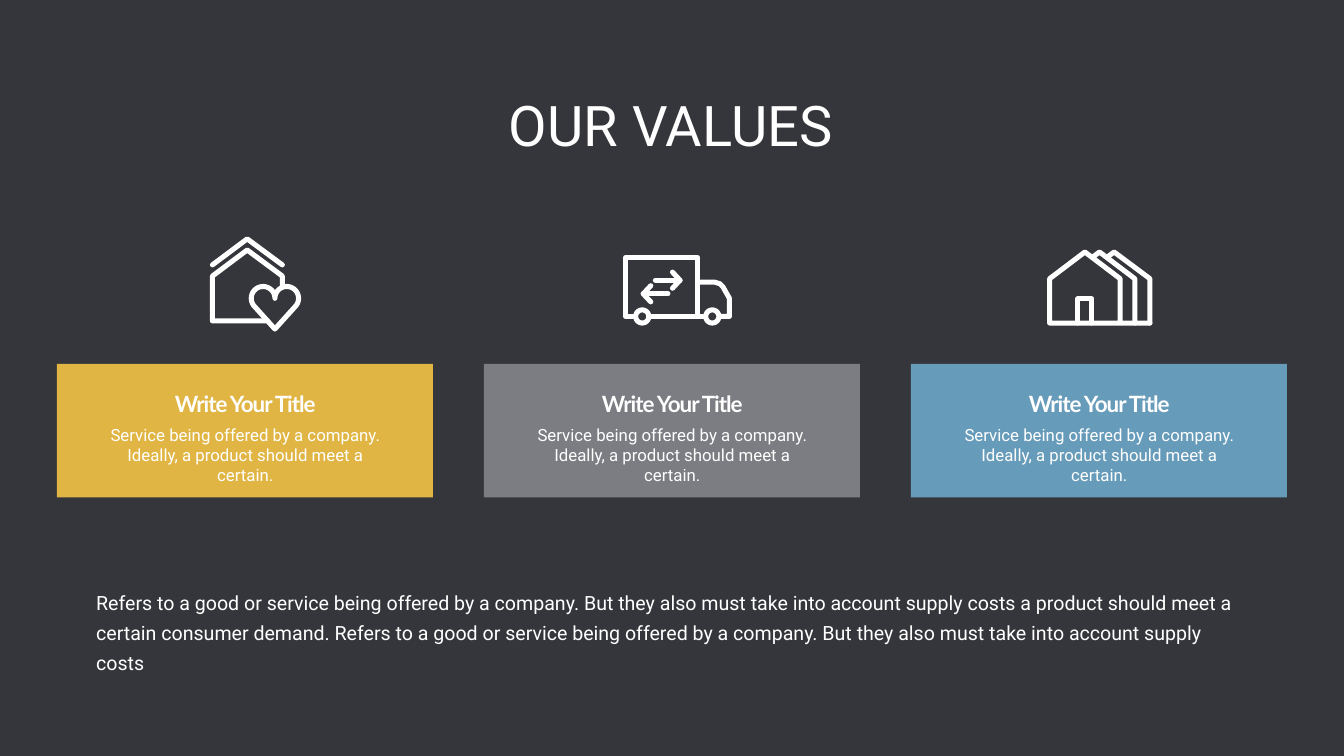
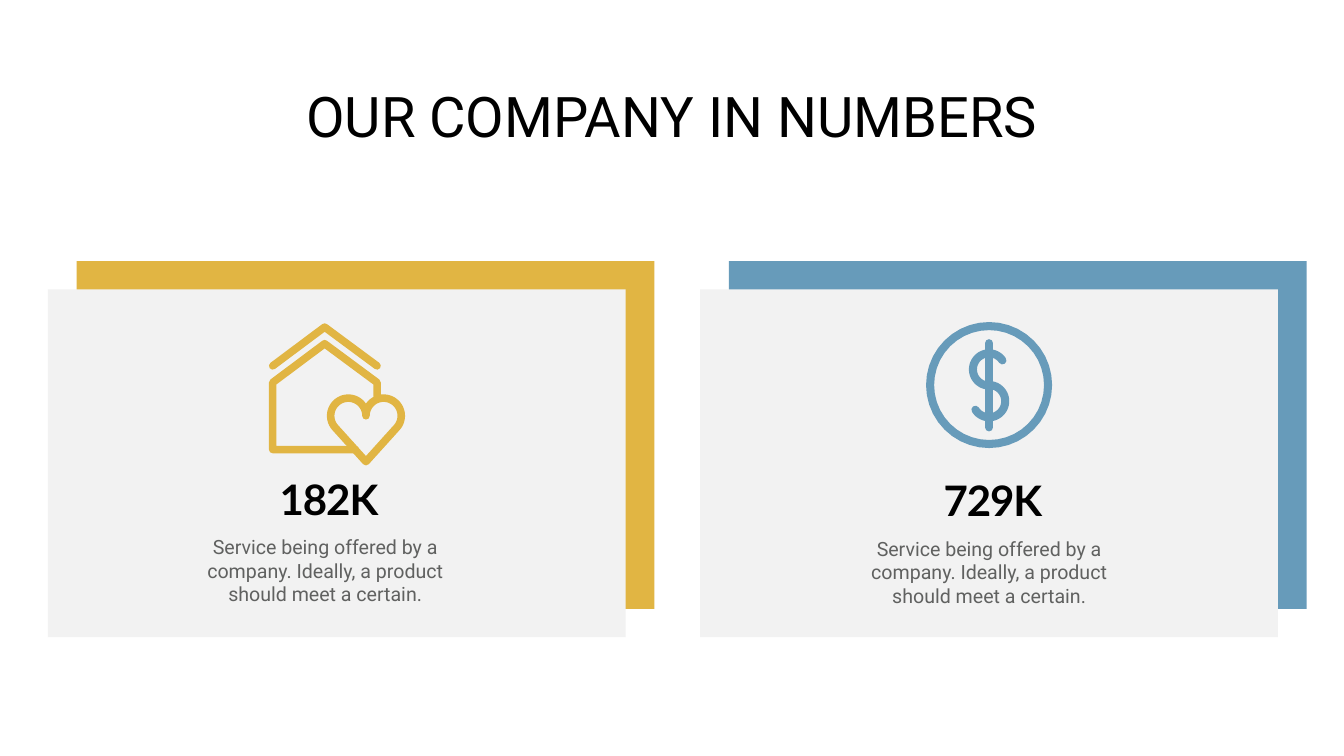
from math import cos, radians, sin

from lxml.etree import SubElement
from pptx import Presentation
from pptx.dml.color import RGBColor
from pptx.enum.shapes import MSO_SHAPE
from pptx.enum.text import MSO_AUTO_SIZE, PP_ALIGN
from pptx.oxml.ns import qn
from pptx.util import Pt

PX = 9144  # EMU per px, 100 px to the inch
WIDTH, HEIGHT = 2666, 1500
YELLOW, GREY, BLUE = "E1B543", "7C7D82", "679BBA"
DARK, PALE, TEXT_GREY = "35363B", "F2F2F2", "606160"
WHITE, BLACK = "FFFFFF", "000000"
SERVICE = "Service being offered by a company. Ideally, a product should meet a certain."

# Icons are strokes of points (x, y) and arcs (centre x, centre y, radius, from, to)
HOUSE_HEART = [
    [(8, 86), (111, 9), (215, 86)],
    [(215, 146), (215, 119), (111, 42), (8, 119), (8, 252), (172, 252)],
    [(228, 185, 35, 180, 402), (193, 276), (158, 185, 35, 138, 360)],
]
TRUCK = [
    [(20, 122), (5, 122), (5, 5), (148, 5), (148, 122)],
    [(57, 122), (158, 122)],
    [(148, 54), (182, 54), (192, 57), (198, 63), (211, 86), (211, 122), (195, 122)],
    [(38, 122, 13, 0, 360)],
    [(177, 122, 13, 0, 360)],
    [(64, 50), (113, 50)],
    [(98, 34), (113, 50), (98, 66)],
    [(89, 77), (40, 77)],
    [(55, 61), (40, 77), (55, 93)],
]
HOUSES = [
    [(145, 148), (145, 60), (75, 7), (5, 60), (5, 148), (204, 148)],
    [(92, 16), (104, 7), (174, 60), (174, 148)],
    [(121, 16), (133, 7), (204, 60), (204, 148)],
    [(61, 148), (61, 100), (89, 100), (89, 148)],
]
DOLLAR = [
    [(124, 124, 117, 0, 360)],
    [(124, 41), (124, 208)],
    [(124, 93, 32, -34, -270), (124, 156, 32, -90, 148)],
]


def add_text(slide, box, text, size, color, font="Roboto", inset=(10, 5),
             align=PP_ALIGN.CENTER, line_spacing=None):
    shape = slide.shapes.add_textbox(*[value * PX for value in box])
    frame = shape.text_frame
    frame.word_wrap = True
    frame.auto_size = MSO_AUTO_SIZE.SHAPE_TO_FIT_TEXT
    frame.margin_left = frame.margin_right = inset[0] * PX
    frame.margin_top = frame.margin_bottom = inset[1] * PX
    paragraph = frame.paragraphs[0]
    run = paragraph.add_run()
    run.text = text
    paragraph.alignment = align
    paragraph.line_spacing = line_spacing
    paragraph.font.size = Pt(size)
    paragraph.font.name = font
    paragraph.font.color.rgb = RGBColor.from_string(color)
    if font == "Lato":  # headings are bold and tightly set
        paragraph.font.bold = True
        run._r.get_or_add_rPr().set("spc", "-150")


def add_icon(slide, strokes, left, top, color, line_width, scale=1.0):
    builder = None
    for stroke in strokes:
        points = []
        for item in stroke:
            if len(item) == 2:
                points.append(item)
                continue
            x, y, radius, start, end = item
            for step in range(41):
                angle = radians(start + (end - start) * step / 40)
                points.append((x + radius * cos(angle), y + radius * sin(angle)))
        points = [(round((left + x * scale) * PX), round((top + y * scale) * PX))
                  for x, y in points]
        if builder is None:
            builder = slide.shapes.build_freeform(*points[0])
        else:
            builder.move_to(*points[0])
        builder.add_line_segments(points[1:], close=False)
    shape = builder.convert_to_shape()
    shape.shadow.inherit = False
    shape.fill.background()
    shape.line.color.rgb = RGBColor.from_string(color)
    shape.line.width = line_width * PX
    outline = shape._element.spPr.find(qn("a:ln"))
    outline.set("cap", "rnd")
    SubElement(outline, qn("a:round"))


presentation = Presentation()
presentation.slide_width = WIDTH * PX
presentation.slide_height = HEIGHT * PX
blank = presentation.slide_layouts[6]
values = presentation.slides.add_slide(blank)
numbers = presentation.slides.add_slide(blank)

# Backdrop, value cards, and number panels each with a coloured panel behind
CARD_LEFT, CARD_STEP = 113, 847
PANEL_LEFT, PANEL_STEP = 95, 1294
boxes = [(values, 0, 0, WIDTH, HEIGHT, DARK)]
for index, color in enumerate([YELLOW, GREY, BLUE]):
    boxes.append((values, CARD_LEFT + index * CARD_STEP, 722, 746, 265, color))
for index, color in enumerate([YELLOW, BLUE]):
    left = PANEL_LEFT + index * PANEL_STEP
    boxes.append((numbers, left + 57, 518, 1146, 690, color))
    boxes.append((numbers, left, 574, 1146, 690, PALE))
for slide, left, top, width, height, color in boxes:
    shape = slide.shapes.add_shape(
        MSO_SHAPE.RECTANGLE, left * PX, top * PX, width * PX, height * PX)
    shape.shadow.inherit = False
    shape.fill.solid()
    shape.fill.fore_color.rgb = RGBColor.from_string(color)
    shape.line.fill.background()

# Titles
add_text(values, (993, 174, 703, 145), "OUR VALUES ", 80, WHITE)
add_text(numbers, (573, 157, 1520, 145), "OUR COMPANY IN NUMBERS", 80, BLACK)

# Our values: icons, card texts and closing statement
add_icon(values, HOUSE_HEART, 416, 468, WHITE, 10, scale=0.67)
add_icon(values, TRUCK, 1236, 506, WHITE, 10)
add_icon(values, HOUSES, 2077, 493, WHITE, 10)
for index in range(3):
    left = CARD_LEFT + index * CARD_STEP
    add_text(values, (left + 58, 830, 631, 105), SERVICE, 24, WHITE, inset=(24, 12))
    add_text(values, (left + 216, 769, 315, 64), "Write Your Title", 32, WHITE, "Lato")
add_text(
    values, (181, 1154, 2304, 125),
    "Refers to a good or service being offered by a company. But they also must take "
    "into account supply costs a product should meet a certain consumer demand. Refers "
    "to a good or service being offered by a company. But they also must take into "
    "account supply costs",
    28, WHITE, align=PP_ALIGN.LEFT, line_spacing=Pt(43))

# Our company in numbers: icon, figure and description
add_icon(numbers, HOUSE_HEART, 533, 640, YELLOW, 15)
add_icon(numbers, DOLLAR, 1838, 640, BLUE, 16)
for left, top, figure in [(333, 934, "182K"), (1650, 937, "729K")]:
    add_text(numbers, (left, top + 116, 624, 260), SERVICE, 28, TEXT_GREY, inset=(24, 12))
    add_text(numbers, (left + 32, top, 575, 111), figure, 60, BLACK, "Lato")

presentation.save("out.pptx")
